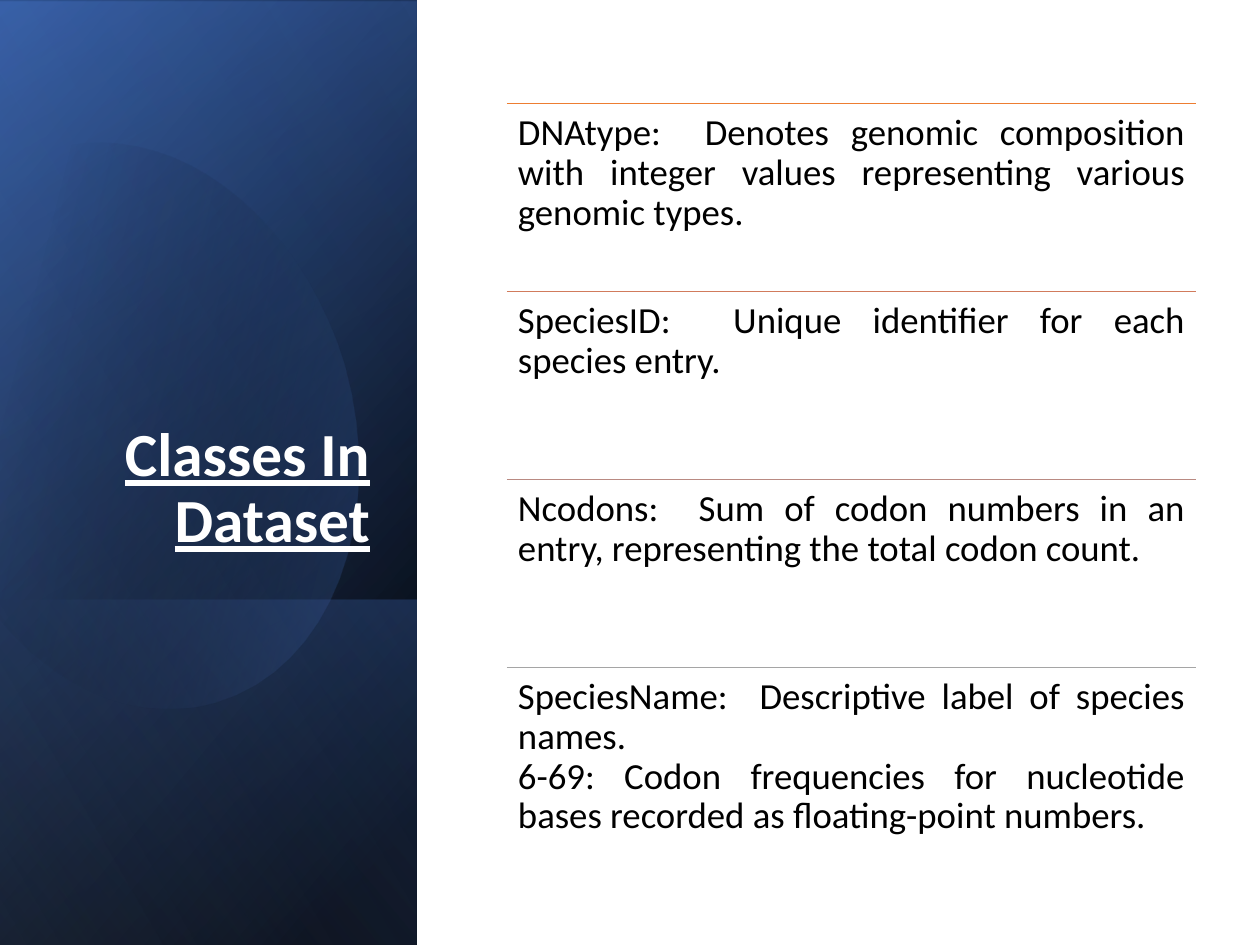
"""Build the slide that lists the classes in the dataset."""
import math

from lxml import etree
from pptx import Presentation
from pptx import util as u
from pptx.dml.color import RGBColor
from pptx.enum import shapes, text
from pptx.oxml.ns import qn

BLACK = RGBColor(0x00, 0x00, 0x00)
WHITE = RGBColor(0xFF, 0xFF, 0xFF)
BLUE = RGBColor(0x44, 0x72, 0xC4)
DEEP_BLUE = RGBColor(0x2F, 0x55, 0x97)
PALE_BLUE = RGBColor(0x8F, 0xAA, 0xDC)
ORANGE = RGBColor(0xED, 0x7D, 0x31)
CLAY = RGBColor(0xD1, 0x7B, 0x5C)
ROSE = RGBColor(0xB9, 0x8A, 0x82)
GREY = RGBColor(0xA5, 0xA5, 0xA5)

ENTRIES = [
    ("DNAtype:  Denotes genomic composition with integer values "
     "representing various genomic types.", ORANGE),
    ("SpeciesID:  Unique identifier for each species entry.", CLAY),
    ("Ncodons:  Sum of codon numbers in an entry, representing the total "
     "codon count.", ROSE),
    ("SpeciesName:  Descriptive label of species names.\v6-69: Codon "
     "frequencies for nucleotide bases recorded as floating-point numbers.", GREY),
]

LEAF_START = (121, 144)
LEAF = [
    [(215, 154), (307, 242), (344, 365)],
    [(387, 519), (330, 669), (215, 702)],
    [(144, 723), (67, 693), (9, 630)],
    [(-4, 615)],
    [(-32, 209)],
    [(-19, 194)],
    [(2, 173), (28, 158), (57, 149)],
    [(78, 142), (100, 141), (121, 144)],
]
LEAF_CENTRE = (150, 421)
LEAF_TILT = 16.1


def px(n):
    """Turn pixels into EMU."""
    return u.Emu(round(n * 914400 / 126))


def add_text(parent, words, box, size, color, align, anchor=text.MSO_ANCHOR.TOP,
             insets=(11, 11), bold=None, underline=None):
    """Add a wrapped text box with one formatted paragraph."""
    tf = parent.add_textbox(*map(px, box)).text_frame
    tf.word_wrap = True
    tf.vertical_anchor = anchor
    tf.margin_left = tf.margin_right = px(insets[0])
    tf.margin_top = tf.margin_bottom = px(insets[1])
    p = tf.paragraphs[0]
    p.text = words
    p.alignment = align
    p.line_spacing = 0.9
    for r in p.runs:
        r.font.name = "Calibri"
        r.font.size = u.Pt(size)
        r.font.color.rgb = color
        r.font.bold = bold
        r.font.underline = underline


def paint(sp, angle, stops):
    """Fill a shape with a gradient of (position, colour, opacity) stops."""
    sp.shadow.inherit = False
    sp.line.fill.background()
    sp.fill.gradient()
    grad = sp.element.spPr.find(qn("a:gradFill"))
    for child in list(grad):
        grad.remove(child)
    grad.set("rotWithShape", "1")
    gs_list = etree.SubElement(grad, qn("a:gsLst"))
    for position, color, opacity in stops:
        gs = etree.SubElement(gs_list, qn("a:gs"), pos=str(position * 1000))
        clr = etree.SubElement(gs, qn("a:srgbClr"), val=str(color))
        etree.SubElement(clr, qn("a:alpha"), val=str(opacity * 1000))
    etree.SubElement(grad, qn("a:lin"), ang=str(angle * 60000), scaled="0")


def add_wash(s, box, angle, stops):
    """Add a mirrored quarter-turned rectangle that covers the box."""
    x, y, w, h = box
    frame = (x + (w - h) / 2, y + (h - w) / 2, h, w)
    sp = s.shapes.add_shape(shapes.MSO_SHAPE.RECTANGLE, *map(px, frame))
    sp.rotation = 90
    sp.element.spPr.get_or_add_xfrm().set("flipH", "1")
    paint(sp, angle, stops)


def bezier(points, t):
    """Return the point at t on a curve of any degree."""
    while len(points) > 1:
        points = [((1 - t) * a + t * c, (1 - t) * b + t * d)
                  for (a, b), (c, d) in zip(points, points[1:])]
    return points[0]


def add_leaf(s, x, y):
    """Add the tilted leaf outline relative to the panel corner."""
    outline = [LEAF_START]
    for segment in LEAF:
        steps = 16 if len(segment) == 3 else 1
        curve = [outline[-1], *segment]
        outline += [bezier(curve, i / steps) for i in range(1, steps + 1)]
    cx, cy = LEAF_CENTRE
    cos, sin = math.cos(math.radians(LEAF_TILT)), math.sin(math.radians(LEAF_TILT))
    upright = [(px(x + cx + (a - cx) * cos - (b - cy) * sin),
                px(y + cy + (a - cx) * sin + (b - cy) * cos)) for a, b in outline]
    builder = s.shapes.build_freeform(*upright[0])
    builder.add_line_segments(upright[1:], close=True)
    sp = builder.convert_to_shape()
    sp.rotation = 360 - LEAF_TILT
    paint(sp, 30, [(29, BLACK, 0), (100, BLUE, 43)])


def add_title_panel(s, box):
    """Add the blue side panel with the slide title."""
    x, y, w, h = box
    add_wash(s, box, 50, [(8, BLACK, 100), (100, DEEP_BLUE, 100)])
    add_wash(s, (x, y + 2, w, h), 30, [(0, BLACK, 0), (99, BLUE, 46)])
    add_wash(s, (x, y + 600, w, h - 600), 130, [(2, BLUE, 29), (100, BLACK, 30)])
    add_leaf(s, x, y)
    add_wash(s, box, 120, [(0, BLACK, 0), (99, PALE_BLUE, 11)])
    add_text(s.shapes, "Classes In Dataset", (x + 60, y + 232, 323, 330), 35, WHITE,
             text.PP_ALIGN.RIGHT, text.MSO_ANCHOR.BOTTOM, (13, 6), True, True)


def add_entries(s, box):
    """Add the ruled list of dataset classes in equal rows."""
    x, y, w, h = box
    row = h // len(ENTRIES)
    group = s.shapes.add_group_shape().shapes
    for i, (words, color) in enumerate(ENTRIES):
        top = y + i * row
        rule = group.add_connector(shapes.MSO_CONNECTOR.STRAIGHT,
                                   *map(px, (x, top, x + w, top)))
        rule.line.color.rgb = color
        rule.line.width = u.Pt(0.5)
        etree.SubElement(rule.element.spPr, qn("a:effectLst"))
        add_text(group, words, (x, top, w, row), 21, BLACK, text.PP_ALIGN.JUSTIFY)


def main():
    """Build and save the slide."""
    prs = Presentation()
    prs.slide_width, prs.slide_height = px(1260), px(945)
    s = prs.slides.add_slide(prs.slide_layouts[6])
    add_title_panel(s, (0, 0, 417, 945))
    add_entries(s, (507, 103, 689, 752))
    prs.save("out.pptx")


if __name__ == "__main__":
    main()
